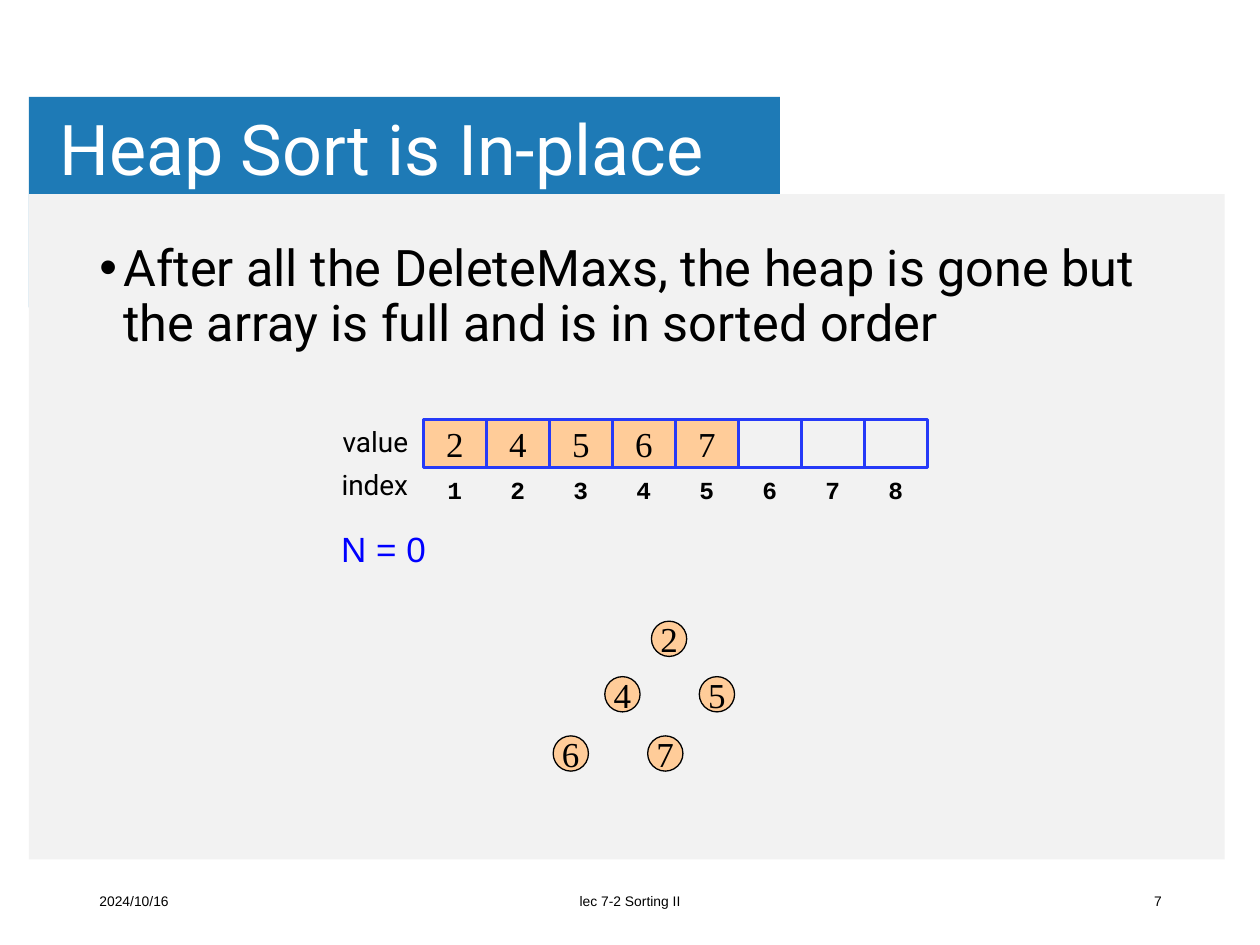
import pptx
import pptx.dml.color
import pptx.enum.shapes
import pptx.enum.text
import pptx.oxml
import pptx.oxml.ns
import pptx.util

Inches = pptx.util.Inches
Pt = pptx.util.Pt
SHAPE = pptx.enum.shapes.MSO_SHAPE
ALIGN = pptx.enum.text.PP_ALIGN
ANCHOR = pptx.enum.text.MSO_ANCHOR
AUTO_SIZE = pptx.enum.text.MSO_AUTO_SIZE

PEACH = "FFCC99"
ARRAY_BLUE = "263AF8"
SORTED_VALUES = [2, 4, 5, 6, 7]
ARRAY_SIZE = 8
ARRAY_LEFT, ARRAY_TOP = 3.36, 3.33
CELL_WIDTH, CELL_HEIGHT = 0.5, 0.38
NODE_SIZE = 0.28
NODE_POSITIONS = [(5.17, 4.93), (4.8, 5.37), (5.55, 5.37), (4.39, 5.84), (5.14, 5.84)]


def color(hex_string):
    return pptx.dml.color.RGBColor.from_string(hex_string)


def write_text(shape, text, font="Arial", size=20, ink="000000", bold=False,
               align=ALIGN.LEFT, anchor=ANCHOR.MIDDLE, wrap=False,
               line_spacing=None, bullet_indent=None, grow=False):
    frame = shape.text_frame
    frame.word_wrap = wrap
    frame.auto_size = AUTO_SIZE.SHAPE_TO_FIT_TEXT if grow else AUTO_SIZE.NONE
    frame.vertical_anchor = anchor
    paragraph = frame.paragraphs[0]
    paragraph.alignment = align
    if line_spacing:
        paragraph.line_spacing = line_spacing
    if bullet_indent:
        properties = paragraph._p.get_or_add_pPr()
        properties.set("marL", str(Inches(bullet_indent)))
        properties.set("indent", str(-Inches(bullet_indent)))
        namespace = pptx.oxml.ns.nsdecls("a")
        properties.append(pptx.oxml.parse_xml(f'<a:buFont {namespace} typeface="Arial"/>'))
        properties.append(pptx.oxml.parse_xml(f'<a:buChar {namespace} char="•"/>'))
    run = paragraph.add_run()
    run.text = text
    run.font.name = font
    run.font.size = Pt(size)
    run.font.bold = bold
    run.font.color.rgb = color(ink)


def add_text(slide, text, left, top, width, height, **text_format):
    box = slide.shapes.add_textbox(Inches(left), Inches(top), Inches(width), Inches(height))
    write_text(box, text, **text_format)
    return box


def add_block(slide, kind, left, top, width, height, fill=None, line=None, line_width=1):
    shape = slide.shapes.add_shape(kind, Inches(left), Inches(top), Inches(width), Inches(height))
    shape.shadow.inherit = False
    if fill:
        shape.fill.solid()
        shape.fill.fore_color.rgb = color(fill)
    else:
        shape.fill.background()
    if line:
        shape.line.color.rgb = color(line)
        shape.line.width = Pt(line_width)
    else:
        shape.line.fill.background()
    return shape


def write_value(shape, value):
    write_text(shape, str(value), font="Times New Roman", align=ALIGN.CENTER)


def add_array(slide):
    for label, left, top, width in (("value", 2.6, 3.32, 0.76), ("index", 2.59, 3.66, 0.77)):
        add_text(slide, label, left, top, width, 0.37, font="Roboto", size=16,
                 align=ALIGN.CENTER, grow=True)
    for position in range(ARRAY_SIZE):
        left = ARRAY_LEFT + position * CELL_WIDTH
        filled = position < len(SORTED_VALUES)
        cell = add_block(slide, SHAPE.RECTANGLE, left, ARRAY_TOP, CELL_WIDTH, CELL_HEIGHT,
                         fill=PEACH if filled else None, line=ARRAY_BLUE, line_width=1.5)
        if filled:
            write_value(cell, SORTED_VALUES[position])
        add_text(slide, str(position + 1), left, 3.7, CELL_WIDTH, CELL_HEIGHT,
                 font="Courier New", size=14, bold=True, align=ALIGN.CENTER)


def add_nodes(slide):
    for value, (left, top) in zip(SORTED_VALUES, NODE_POSITIONS):
        node = add_block(slide, SHAPE.OVAL, left, top, NODE_SIZE, NODE_SIZE,
                         fill=PEACH, line="000000", line_width=0.75)
        write_value(node, value)


def add_title(slide):
    title = add_text(slide, "Heap Sort is In-place", 0.4, 0.82, 7.51, 0.79, font="Roboto",
                     size=40, ink="FFFFFF", wrap=True, line_spacing=0.9)
    frame = title.text_frame
    frame.margin_left = frame.margin_right = Inches(0.07)
    frame.margin_top = frame.margin_bottom = Inches(0.04)


def add_footer(slide):
    for text, left, width, align in (
        ("2024/10/16", 0.69, 2.25, ALIGN.LEFT),
        ("lec 7-2 Sorting II", 3.31, 3.38, ALIGN.CENTER),
        ("7", 7.07, 2.25, ALIGN.RIGHT),
    ):
        add_text(slide, text, left, 6.95, width, 0.4, size=7.9, align=align, wrap=True)


def main():
    presentation = pptx.Presentation()
    presentation.slide_width = Inches(10)
    presentation.slide_height = Inches(7.5)
    slide = presentation.slides.add_slide(presentation.slide_layouts[6])
    add_block(slide, SHAPE.RECTANGLE, 0.23, 0.77, 5.96, 1.67, fill="1E7AB6")
    add_block(slide, SHAPE.RECTANGLE, 0.23, 1.54, 9.49, 5.28, fill="F2F2F2")
    add_title(slide)
    add_footer(slide)
    add_text(slide, "After all the DeleteMaxs, the heap is gone but the array is full "
             "and is in sorted order", 0.69, 1.88, 8.73, 1.28, font="Roboto", size=28.8,
             anchor=ANCHOR.TOP, wrap=True, line_spacing=0.9, bullet_indent=0.19)
    add_text(slide, "N = 0", 2.61, 4.14, 0.87, 0.44, ink="0000FF", anchor=ANCHOR.TOP, grow=True)
    add_array(slide)
    add_nodes(slide)
    presentation.save("out.pptx")


if __name__ == "__main__":
    main()
